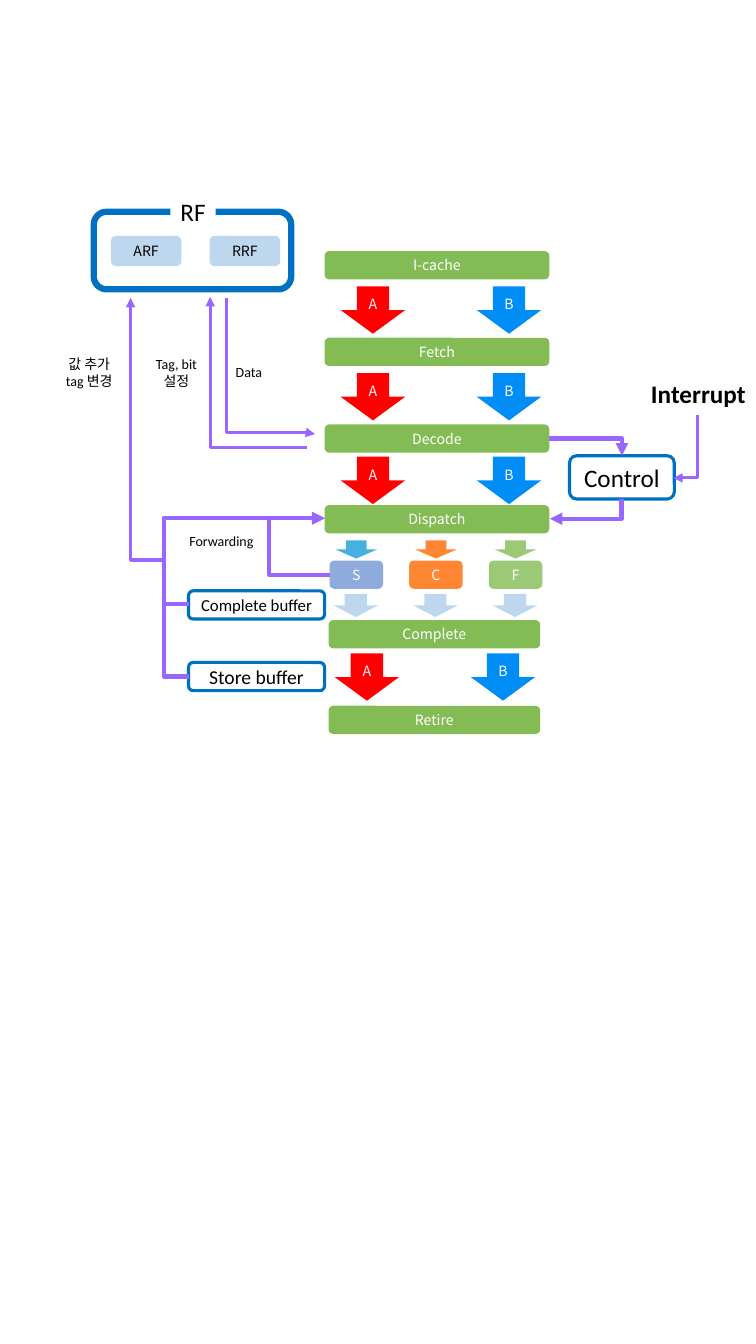
from lxml.etree import SubElement
from pptx import Presentation
from pptx.dml.color import RGBColor
from pptx.enum.shapes import MSO_CONNECTOR, MSO_SHAPE
from pptx.enum.text import MSO_ANCHOR, PP_ALIGN
from pptx.oxml.ns import qn
from pptx.util import Inches, Pt

SANS, LATIN = "Noto Sans CJK KR", "Calibri"
BLACK, WHITE = "000000", "FFFFFF"
GREEN, RED, BLUE = "83BC54", "FF0000", "008DF6"
PALE, NAVY, PURPLE = "BDD7EE", "0070C0", "9966FF"
ROUND, DOWN, RECT = MSO_SHAPE.ROUNDED_RECTANGLE, MSO_SHAPE.DOWN_ARROW, MSO_SHAPE.RECTANGLE


def paint(target, code):
    """Set a colour format or fill to a hex colour."""
    target.rgb = RGBColor.from_string(code)


def write(frame, text, size, font, color, align, bold=False):
    """Fill a text frame, one paragraph for each line."""
    frame.text = text
    for para in frame.paragraphs:
        para.alignment = align
        para.font.size = Pt(size)
        para.font.name = font
        para.font.bold = bold
        paint(para.font.color, color)


def block(slide, kind, box, text="", fill=None, line=None, width=2.25,
          size=10.1, font=SANS, color=WHITE):
    """Add a preset shape with centred text."""
    shape = slide.shapes.add_shape(kind, *map(Inches, box))
    shape.shadow.inherit = False
    if fill:
        shape.fill.solid()
        paint(shape.fill.fore_color, fill)
    else:
        shape.fill.background()
    if line:
        paint(shape.line.color, line)
        shape.line.width = Pt(width)
    else:
        shape.line.fill.background()
    if text:
        frame = shape.text_frame
        frame.margin_left = frame.margin_right = frame.margin_top = frame.margin_bottom = 0
        frame.vertical_anchor = MSO_ANCHOR.MIDDLE
        write(frame, text, size, font, color, PP_ALIGN.CENTER)


def label(slide, box, text, size=10, align=PP_ALIGN.LEFT, bold=False):
    """Add a plain text label."""
    frame = slide.shapes.add_textbox(*map(Inches, box)).text_frame
    frame.word_wrap = False
    write(frame, text, size, LATIN, BLACK, align, bold)


def elbow(slide, box, turn=0, flip="", bend=None, width=2.25):
    """Add a bent arrow, with one corner unless a bend is given."""
    left, top, wide, high = box
    right, low = left + wide, top + high
    if flip == "h":
        left, right = right, left
    if flip == "v":
        top, low = low, top
    arrow = slide.shapes.add_connector(
        MSO_CONNECTOR.ELBOW, *map(Inches, (left, top, right, low)))
    paint(arrow.line.color, PURPLE)
    arrow.line.width = Pt(width)
    props = arrow._element.spPr
    props.find(qn("a:xfrm")).set("rot", str(turn * 60000))
    shape = props.find(qn("a:prstGeom"))
    if bend is None:
        shape.set("prst", "bentConnector2")
    else:
        guides = shape.find(qn("a:avLst"))
        if guides is None:
            guides = SubElement(shape, qn("a:avLst"))
        SubElement(guides, qn("a:gd"), name="adj1", fmla=f"val {round(bend * 100000)}")
    SubElement(props.find(qn("a:ln")), qn("a:tailEnd"), type="triangle")
    SubElement(props, qn("a:effectLst"))


def pair(slide, x, y):
    """Draw the A and B arrows between two stages."""
    for i, (name, fill) in enumerate((("A", RED), ("B", BLUE))):
        block(slide, DOWN, (x + 1.35 * i, y, 0.64, 0.47), name, fill)


def stages(slide, x, y):
    """Draw the pipeline stages and the arrows between them."""
    for name, dx, dy, wide in (
            ("I-cache", 0, 0, 2.23), ("Fetch", 0, 0.86, 2.23),
            ("Decode", 0, 1.72, 2.23), ("Dispatch", 0, 2.52, 2.23),
            ("Complete", 0.04, 3.66, 2.1), ("Retire", 0.04, 4.51, 2.1)):
        block(slide, ROUND, (x + dx, y + dy, wide, 0.28), name, GREEN)
    for dx, dy in ((0.16, 0.35), (0.16, 1.21), (0.16, 2.04), (0.1, 3.99)):
        pair(slide, x + dx, y + dy)


def units(slide, x, y):
    """Draw the three execution units with arrows in and out."""
    for i, (name, unit, entry) in enumerate((
            ("S", "8FAADC", "46B1E1"), ("C", "FF8633", "FF8633"),
            ("F", "9BC975", "9BC975"))):
        left = x + 0.79 * i
        block(slide, DOWN, (left + 0.06, y, 0.41, 0.18), fill=entry)
        block(slide, ROUND, (left, y + 0.2, 0.53, 0.28), name, unit)
        block(slide, DOWN, (left + 0.04, y + 0.53, 0.44, 0.23), fill=PALE)


def files(slide, x, y):
    """Draw the register file and its data and tag paths."""
    block(slide, ROUND, (x, y, 1.96, 0.77), line=NAVY, width=4.5)
    block(slide, RECT, (x + 0.76, y - 0.2, 0.45, 0.39), "RF", WHITE,
          size=18, font=LATIN, color=BLACK)
    for i, name in enumerate(("ARF", "RRF")):
        block(slide, ROUND, (x + 0.17 + 0.98 * i, y + 0.24, 0.7, 0.3),
              name, PALE, color=BLACK)
    elbow(slide, (x + 1.08, y + 1.09, 1.35, 0.88), 270, "h", 0.99)
    elbow(slide, (x + 0.89, y + 1.11, 1.49, 0.96), 270, "v", 0)
    elbow(slide, (x - 0.78, y + 2, 2.6, 0.31), 270, "v", 0)
    label(slide, (x + 1.31, y + 1.46, 0.47, 0.27), "Data")
    label(slide, (x + 0.51, y + 1.38, 0.62, 0.44), "Tag, bit\n설정", align=PP_ALIGN.CENTER)
    label(slide, (x - 0.41, y + 1.38, 0.73, 0.44), "값 추가\ntag 변경", align=PP_ALIGN.CENTER)


def control(slide, x, y):
    """Draw the control box, its links and the interrupt."""
    block(slide, ROUND, (x, y, 1.04, 0.43), "Control", line=NAVY,
          size=18, font=LATIN, color=BLACK)
    elbow(slide, (x - 0.2, y - 0.17, 0.72, 0.17), width=3)
    elbow(slide, (x + 0.06, y + 0.17, 0.2, 0.71), 90, width=3)
    elbow(slide, (x + 0.84, y - 0.21, 0.62, 0.24), 90)
    label(slide, (x + 0.71, y - 0.82, 1.15, 0.4), "Interrupt", 18, bold=True)


def buffers(slide, x, y):
    """Draw the two buffers and the forwarding paths to dispatch."""
    for name, dy, size in (("Complete buffer", 0, 12), ("Store buffer", 0.71, 14)):
        block(slide, ROUND, (x, y + dy, 1.35, 0.28), name, line=NAVY,
              size=size, font=LATIN, color=BLACK)
    for high in (0.85, 1.57):
        elbow(slide, (x, y - 0.72, 1.35, high), 180, "h", -0.18, 3)
    elbow(slide, (x + 1.35, y - 0.72, 0.05, 0.56), 180, "", 12, 3)
    label(slide, (x - 0.09, y - 0.63, 0.85, 0.27), "Forwarding")


def main():
    """Build the processor pipeline slide."""
    deck = Presentation()
    deck.slide_width, deck.slide_height = Inches(7.5), Inches(13.33)
    slide = deck.slides.add_slide(deck.slide_layouts[6])
    stages(slide, 3.22, 2.49)
    units(slide, 3.27, 5.36)
    files(slide, 0.93, 2.1)
    control(slide, 5.65, 4.52)
    buffers(slide, 1.87, 5.86)
    deck.save("out.pptx")


if __name__ == "__main__":
    main()
